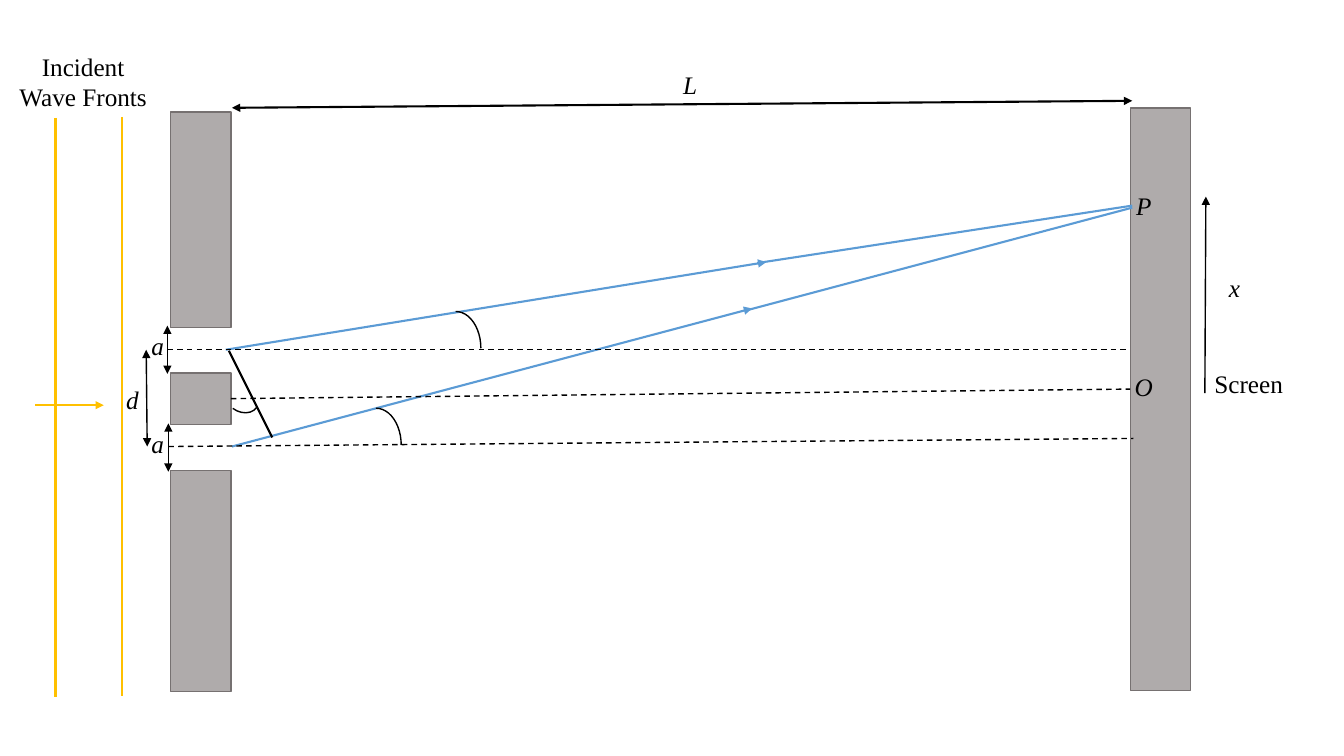
from lxml import etree
from pptx import Presentation
from pptx.dml.color import RGBColor
from pptx.enum.dml import MSO_LINE
from pptx.enum.shapes import MSO_CONNECTOR, MSO_SHAPE
from pptx.enum.text import MSO_AUTO_SIZE, PP_ALIGN
from pptx.oxml.ns import qn
from pptx.util import Inches, Pt

BLACK = RGBColor(0x00, 0x00, 0x00)
GRAY = RGBColor(0xAF, 0xAB, 0xAB)
EDGE = RGBColor(0x76, 0x71, 0x71)
BLUE = RGBColor(0x5B, 0x9B, 0xD5)
GOLD = RGBColor(0xFF, 0xC0, 0x00)
RECT, ARC = MSO_SHAPE.RECTANGLE, MSO_SHAPE.ARC
STRAIGHT, DASH = MSO_CONNECTOR.STRAIGHT, MSO_LINE.DASH
CENTER, GROW = PP_ALIGN.CENTER, MSO_AUTO_SIZE.SHAPE_TO_FIT_TEXT
FONT = "Times New Roman"
WALL = 0.6
LABEL = 1.47
RIGHT = 3


def line(slide, x1, y1, x2, y2, color=BLACK, width=1, dash=False, ends=()):
    """Draw a straight line with optional dashes and arrowheads."""
    link = slide.shapes.add_connector(
        STRAIGHT, Inches(x1), Inches(y1), Inches(x2), Inches(y2))
    link.line.color.rgb = color
    link.line.width = Pt(width)
    if dash:
        link.line.dash_style = DASH
    stroke = link.line._get_or_add_ln()
    for end in ends:
        etree.SubElement(stroke, qn(f"a:{end}End"), type="triangle")
    etree.SubElement(link._element.spPr, qn("a:effectLst"))
    return link


def block(slide, left, top, height):
    """Draw one gray piece of wall."""
    shape = slide.shapes.add_shape(
        RECT, Inches(left), Inches(top), Inches(WALL), Inches(height))
    shape.shadow.inherit = False
    shape.fill.solid()
    shape.fill.fore_color.rgb = GRAY
    shape.line.color.rgb = EDGE
    shape.line.width = Pt(1)
    return shape


def arc(slide, left, top, width, height, turn=0):
    """Draw a quarter arc that marks an angle."""
    shape = slide.shapes.add_shape(
        ARC, Inches(left), Inches(top), Inches(width), Inches(height))
    shape.shadow.inherit = False
    shape.fill.background()
    shape.line.color.rgb = BLACK
    shape.line.width = Pt(1)
    shape.rotation = turn


def label(slide, left, top, text, italic=True, height=0.4):
    """Write a centred label."""
    box = slide.shapes.add_textbox(
        Inches(left), Inches(top), Inches(LABEL), Inches(height))
    frame = box.text_frame
    frame.word_wrap = True
    frame.auto_size = GROW
    para = frame.paragraphs[0]
    para.alignment = CENTER
    run = para.add_run()
    run.text = text
    run.font.name = FONT
    run.font.size = Pt(18)
    run.font.italic = italic
    run.font.color.rgb = BLACK


def waves(slide, left, top):
    """Draw the incoming wave fronts with their heading."""
    for x, y in ((0.46, 0.71), (1.12, 0.7)):
        line(slide, left + x, top + y, left + x, top + y + 5.74, GOLD, 1.5)
    line(slide, left + 0.26, top + 3.56, left + 0.94, top + 3.56,
         GOLD, 1.5, ends=("tail",))
    label(slide, left, top, "Incident Wave Fronts", False, 0.71)


def barrier(slide, left, top):
    """Draw the double slit with its sizes and return the middle block."""
    _, middle, _ = [block(slide, left, top + y, height)
                    for y, height in ((0, 2.14), (2.59, 0.51), (3.56, 2.19))]
    both = ("head", "tail")
    for x, y in ((-0.03, 2.12), (-0.02, 3.09)):
        line(slide, left + x, top + y, left + x, top + y + 0.48, ends=both)
        label(slide, left - 0.86, top + y, "a")
    line(slide, left - 0.24, top + 2.36, left - 0.23, top + 3.32, ends=both)
    label(slide, left - 1.11, top + 2.65, "d")
    return middle


def screen(slide, left, top):
    """Draw the screen with its points and the height x."""
    block(slide, left, top, 5.78)
    for y, name in ((0.77, "P"), (2.56, "O")):
        label(slide, left - 0.6, top + y, name)
    line(slide, left + 0.74, top + 2.83, left + 0.75, top + 0.88,
         ends=("tail",))
    label(slide, left + 0.3, top + 1.58, "x")
    label(slide, left + 0.44, top + 2.54, "Screen", False)


def rays(slide, left, top, middle):
    """Draw the rays, axes and angles between barrier and screen."""
    for x1, y1, x2, y2, ends in (
            (-0.05, 2.47, 5.31, 1.6, ("tail",)),
            (5.22, 1.61, 8.94, 1.04, ()),
            (0.01, 3.43, 5.17, 2.06, ("tail",)),
            (5.11, 2.08, 8.94, 1.06, ())):
        line(slide, left + x1, top + y1, left + x2, top + y2,
             BLUE, 1.5, ends=ends)
    for x1, y1, x2, y2 in ((-0.63, 2.47, 8.91, 2.47),
                           (-0.62, 3.43, 8.95, 3.35)):
        line(slide, left + x1, top + y1, left + x2, top + y2, dash=True)
    axis = line(slide, left, top + 2.96, left + 8.92, top + 2.86, dash=True)
    axis.begin_connect(middle, RIGHT)
    line(slide, left - 0.02, top + 2.48, left + 0.41, top + 3.34, width=1.5)
    arc(slide, left + 1.98, top + 2.09, 0.5, 0.73)
    arc(slide, left + 1.19, top + 3.05, 0.5, 0.73)
    arc(slide, left - 0.04, top + 2.75, 0.29, 0.37, 126.5)
    line(slide, left + 0.01, top + 0.07, left + 8.94, top,
         width=1.5, ends=("head", "tail"))
    label(slide, left + 3.82, top - 0.36, "L")


def main():
    """Build the double slit slide."""
    deck = Presentation()
    deck.slide_width, deck.slide_height = Inches(13.33), Inches(7.5)
    slide = deck.slides.add_slide(deck.slide_layouts[6])
    waves(slide, 0.09, 0.46)
    middle = barrier(slide, 1.69, 1.11)
    screen(slide, 11.21, 1.07)
    rays(slide, 2.29, 1, middle)
    deck.save("out.pptx")


if __name__ == "__main__":
    main()
